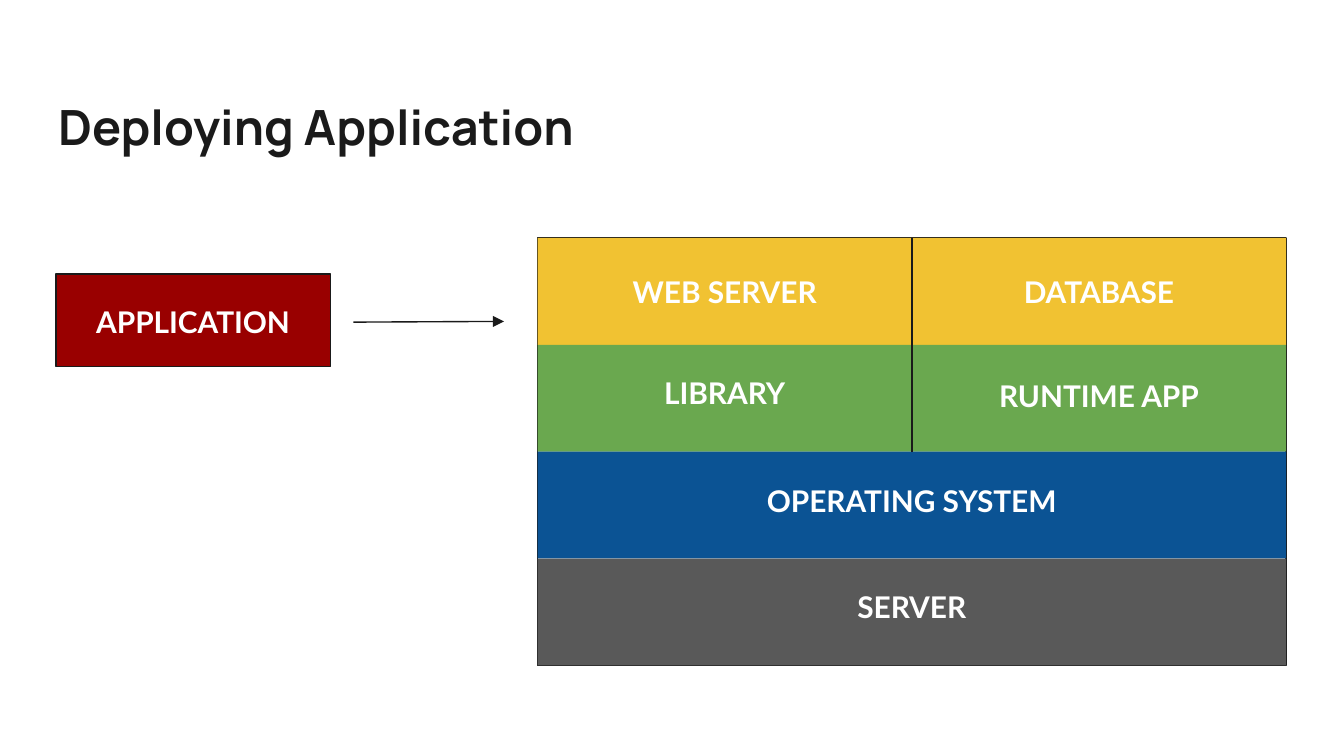
from dataclasses import dataclass

from lxml.etree import SubElement
from pptx import Presentation
from pptx.dml.color import RGBColor
from pptx.enum.shapes import MSO_CONNECTOR, MSO_SHAPE
from pptx.enum.text import MSO_ANCHOR, PP_ALIGN
from pptx.oxml.ns import qn
from pptx.util import Pt

INK, WHITE = "1A1A1A", "FFFFFF"
LEFT, TOP, WIDE, ROW = 288, 127.5, 401, 57.25
HALF = WIDE / 2
MID = LEFT + HALF


@dataclass
class Label:
    text: str
    drop: float


@dataclass
class Band:
    fill: str
    labels: list[Label]


BANDS = [
    Band("F1C232", [Label("WEB SERVER", 12.2), Label("DATABASE", 12.2)]),
    Band("6AA84F", [Label("LIBRARY", 8.9), Label("RUNTIME APP", 10.3)]),
    Band("0B5394", [Label("OPERATING SYSTEM", 9.3)]),
    Band("595959", [Label("SERVER", 8.9)]),
]


def color(code: str) -> RGBColor:
    return RGBColor.from_string(code)


def rect(page, x: float, y: float, w: float, h: float, fill: str, edge: bool = False) -> None:
    box = page.shapes.add_shape(MSO_SHAPE.RECTANGLE, Pt(x), Pt(y), Pt(w), Pt(h))
    box.shadow.inherit = False
    box.fill.solid()
    box.fill.fore_color.rgb = color(fill)
    if edge:
        box.line.color.rgb = color(INK)
        box.line.width = Pt(0.75)
    else:
        box.line.fill.background()


def write(page, text: str, x: float, y: float, w: float, h: float = 33.8,
          size: float = 16, face: str = "Lato", ink: str = WHITE,
          align: PP_ALIGN = PP_ALIGN.CENTER) -> None:
    frame = page.shapes.add_textbox(Pt(x), Pt(y), Pt(w), Pt(h)).text_frame
    frame.word_wrap = True
    frame.vertical_anchor = MSO_ANCHOR.TOP
    frame.margin_left = frame.margin_right = Pt(7.2)
    frame.margin_top = frame.margin_bottom = Pt(7.2)
    para = frame.paragraphs[0]
    para.alignment = align
    run = para.add_run()
    run.text = text
    run.font.name = face
    run.font.size = Pt(size)
    run.font.bold = True
    run.font.color.rgb = color(ink)


def line(page, x1: float, y1: float, x2: float, y2: float, arrow: bool = False) -> None:
    link = page.shapes.add_connector(MSO_CONNECTOR.STRAIGHT, Pt(x1), Pt(y1), Pt(x2), Pt(y2))
    link.line.color.rgb = color(INK)
    link.line.width = Pt(0.75)
    props = link.element.spPr
    if arrow:
        SubElement(props.find(qn("a:ln")), qn("a:tailEnd"), type="triangle")
    SubElement(props, qn("a:effectLst"))


def main() -> None:
    """Build the slide that deploys an application onto a server stack."""
    deck = Presentation()
    deck.slide_width, deck.slide_height = Pt(720), Pt(405)
    page = deck.slides.add_slide(deck.slide_layouts[6])
    write(page, "Deploying Application", 24, 44.6, 605.5, 42.5, 26, "Manrope", INK, PP_ALIGN.LEFT)

    rect(page, LEFT, TOP, WIDE, ROW * len(BANDS), "E9EDEE", True)
    for i, band in enumerate(BANDS):
        rect(page, LEFT, TOP + i * ROW, WIDE, ROW, band.fill)
    line(page, MID, TOP, MID, TOP + 2 * ROW)
    for i, band in enumerate(BANDS):
        span = WIDE / len(band.labels)
        for j, label in enumerate(band.labels):
            write(page, label.text, LEFT + j * span, TOP + i * ROW + label.drop, span)

    rect(page, 30, 146.9, 147, 49.5, "990000", True)
    write(page, "APPLICATION", 30, 155.5, 147)
    line(page, 189.3, 172.6, 270, 172.2, True)
    deck.save("out.pptx")


if __name__ == "__main__":
    main()
